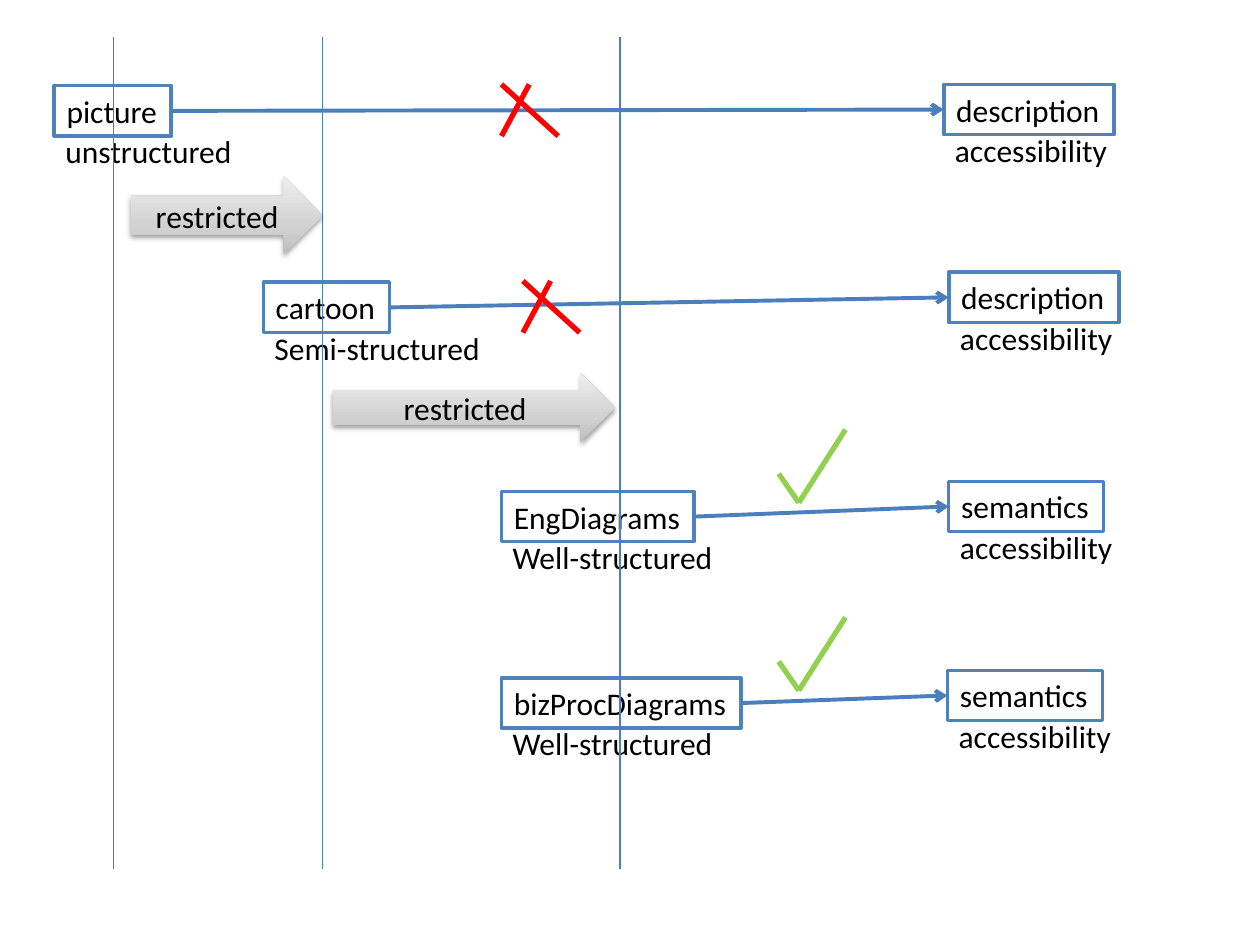
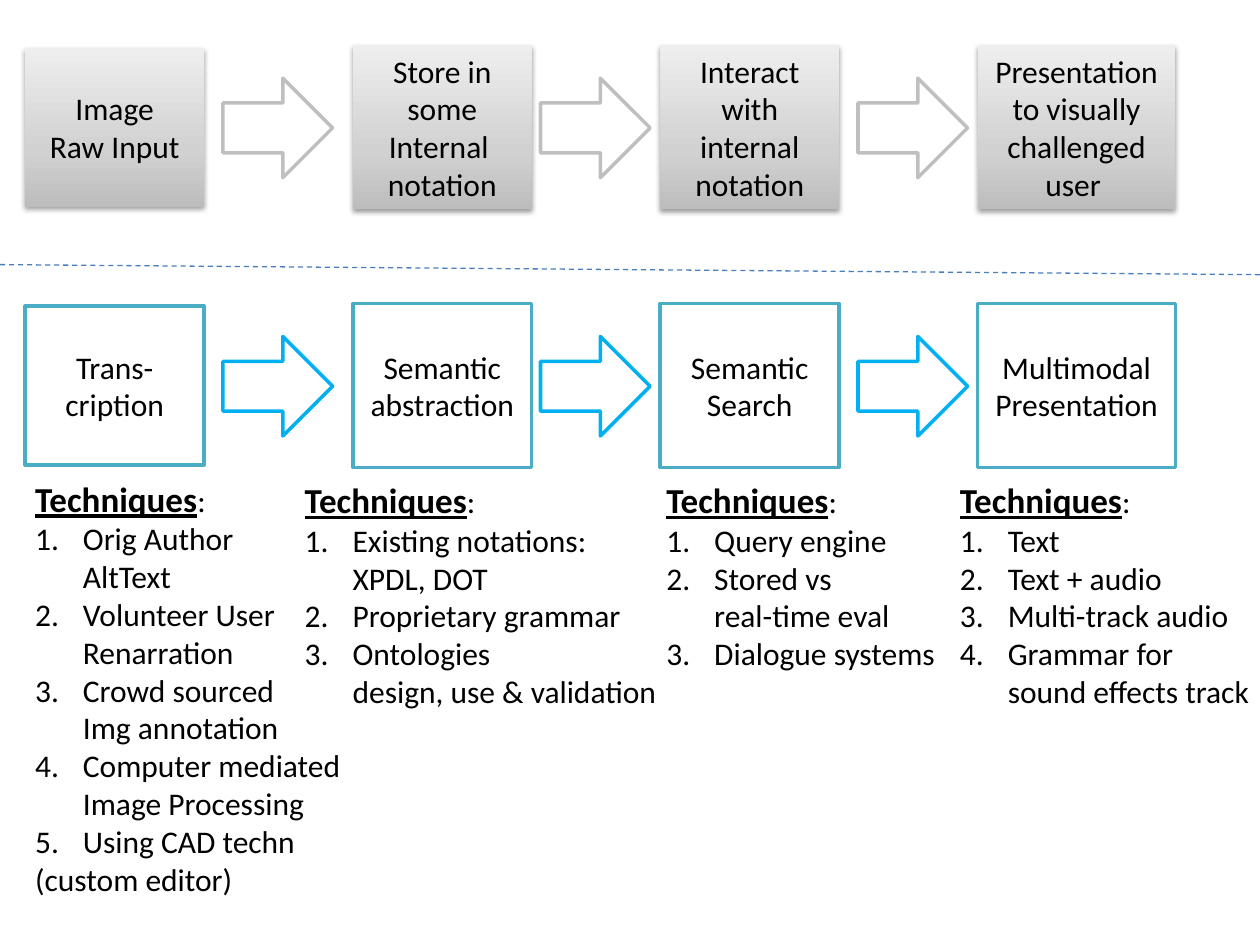
from copy import deepcopy

from lxml import etree
from pptx import Presentation
from pptx.dml.color import RGBColor
from pptx.enum.dml import MSO_LINE
from pptx.enum.shapes import MSO_CONNECTOR, MSO_SHAPE
from pptx.enum.text import MSO_ANCHOR, MSO_AUTO_SIZE, PP_ALIGN
from pptx.oxml.ns import qn
from pptx.util import Inches, Pt

RECTANGLE, RIGHT_ARROW = MSO_SHAPE.RECTANGLE, MSO_SHAPE.RIGHT_ARROW
STRAIGHT, DASH = MSO_CONNECTOR.STRAIGHT, MSO_LINE.DASH
TOP, MIDDLE = MSO_ANCHOR.TOP, MSO_ANCHOR.MIDDLE
LEFT, CENTER = PP_ALIGN.LEFT, PP_ALIGN.CENTER
FIT_SHAPE, NO_FIT = MSO_AUTO_SIZE.SHAPE_TO_FIT_TEXT, MSO_AUTO_SIZE.NONE
LEFT_SIDE, RIGHT_SIDE = 1, 3

FONT = "Calibri"
COLORS = {
    "text": "000000", "white": "FFFFFF", "blue": "4F81BD", "line": "4B7EBC",
    "teal": "4BACC6", "sky": "00B0F0", "silver": "BFBFBF",
    "cross": "FF0000", "check": "92D050",
}
GRAY_STOPS = ((0, "BDBDBD"), (0.35, "D1D1D1"), (1, "EEEEEE"))


def color(name):
    return RGBColor.from_string(COLORS[name])


def write(paragraph, text, size=18, bold=False, underline=False, align=LEFT):
    """Append text to a paragraph, breaking lines at each newline."""
    paragraph.alignment = align
    for index, part in enumerate(text.split("\n")):
        if index:
            paragraph.add_line_break()
        run = paragraph.add_run()
        run.text = part
        font = run.font
        font.name, font.size = FONT, Pt(size)
        font.bold, font.underline = bold, underline
        font.color.rgb = color("text")


def number(paragraph):
    properties = paragraph._p.get_or_add_pPr()
    indent = Inches(0.38)
    properties.set("marL", str(indent))
    properties.set("indent", str(-indent))
    etree.SubElement(properties, qn("a:buFont"), typeface="+mj-lt")
    etree.SubElement(properties, qn("a:buAutoNum"), type="arabicPeriod")


class Deck:
    def __init__(self):
        self.presentation = Presentation()
        self.presentation.slide_width = Inches(10)
        self.presentation.slide_height = Inches(7.5)
        self.slide = None

    def new_slide(self):
        self.slide = self.presentation.slides.add_slide(self.presentation.slide_layouts[6])

    def shape(self, kind, left, top, width, height, text="", line=None, hug=False):
        """Draw a white outlined shape, or a shaded gray one if no line is given."""
        shape = self.slide.shapes.add_shape(
            kind, Inches(left), Inches(top), Inches(width), Inches(height))
        shape.shadow.inherit = False
        if line:
            shape.fill.solid()
            shape.fill.fore_color.rgb = color("white")
            shape.line.color.rgb = color(line)
            shape.line.width = Pt(2)
        else:
            shape.line.fill.background()
            self.shade(shape)
        frame = shape.text_frame
        frame.word_wrap = not hug
        frame.auto_size = FIT_SHAPE if hug else NO_FIT
        frame.vertical_anchor = TOP if hug else MIDDLE
        for index, line_text in enumerate(text.split("|")):
            paragraph = frame.add_paragraph() if index else frame.paragraphs[0]
            write(paragraph, line_text, align=LEFT if hug else CENTER)
        return shape

    def shade(self, shape):
        """Add the gray gradient and the soft shadow below."""
        shape.fill.gradient()
        shape.fill.gradient_angle = 90
        properties = shape._element.spPr
        stop_list = properties.find(".//" + qn("a:gsLst"))
        stop_list.append(deepcopy(stop_list[0]))
        for stop, (position, value) in zip(shape.fill.gradient_stops, GRAY_STOPS):
            stop.position = position
            stop.color.rgb = RGBColor.from_string(value)
        shadow = etree.SubElement(
            properties.find(qn("a:effectLst")), qn("a:outerShdw"),
            blurRad=str(Pt(3.1)), dist=str(Pt(1.6)), dir="5400000", rotWithShape="0")
        shadow_color = etree.SubElement(shadow, qn("a:srgbClr"), val=COLORS["text"])
        etree.SubElement(shadow_color, qn("a:alpha"), val="38000")

    def text_box(self, left, top, width, height):
        frame = self.slide.shapes.add_textbox(
            Inches(left), Inches(top), Inches(width), Inches(height)).text_frame
        frame.word_wrap = False
        frame.auto_size = FIT_SHAPE
        return frame

    def line(self, start, end, name="line", width=0.75, dash=None):
        connector = self.slide.shapes.add_connector(
            STRAIGHT, *(Inches(value) for value in (*start, *end)))
        connector.line.color.rgb = color(name)
        connector.line.width = Pt(width)
        if dash:
            connector.line.dash_style = dash
        etree.SubElement(connector._element.spPr, qn("a:effectLst"))
        return connector

    def arrow(self, source, target):
        """Join the right side of one box to the left side of another."""
        connector = self.line((0, 0), (1, 1), width=2.25)
        connector.begin_connect(source, RIGHT_SIDE)
        connector.end_connect(target, LEFT_SIDE)
        etree.SubElement(connector.line._get_or_add_ln(), qn("a:tailEnd"), type="arrow")

    def captioned_box(self, left, top, width, name, caption, caption_width):
        box = self.shape(RECTANGLE, left, top, width, 0.4, name, "blue", hug=True)
        frame = self.text_box(left - 0.01, top + 0.32, caption_width, 0.4)
        write(frame.paragraphs[0], caption)
        return box

    def cross(self, left, top):
        bottom = top + 0.41
        self.line((left, top), (left + 0.45, bottom), "cross", 3)
        self.line((left, bottom), (left + 0.22, top), "cross", 3)

    def check(self, left, top):
        corner = (left + 0.16, top + 0.58)
        self.line((left, top + 0.35), corner, "check", 3)
        self.line(corner, (left + 0.53, top), "check", 3)

    def techniques(self, left, top, width, height, items, remark=None):
        frame = self.text_box(left, top, width, height)
        heading = frame.paragraphs[0]
        write(heading, "Techniques", size=20, bold=True, underline=True)
        write(heading, ":")
        for item in items:
            paragraph = frame.add_paragraph()
            write(paragraph, item)
            number(paragraph)
        if remark:
            write(frame.add_paragraph(), remark)


def build_structure_slide(deck):
    deck.new_slide()
    # Each row: left, top, width, name, caption, caption width; then the result box.
    rows = (
        ((0.43, 0.68, 0.93, "picture", "unstructured", 1.54),
         (7.49, 0.67, 1.35, "description")),
        ((2.09, 2.24, 1, "cartoon", "Semi-structured", 1.85),
         (7.53, 2.16, 1.35, "description")),
        ((3.98, 3.9, 1.53, "EngDiagrams", "Well-structured", 1.8),
         (7.53, 3.82, 1.23, "semantics")),
        ((3.98, 5.38, 1.9, "bizProcDiagrams", "Well-structured", 1.8),
         (7.52, 5.32, 1.23, "semantics")),
    )
    for source, result in rows:
        source_box = deck.captioned_box(*source)
        result_box = deck.captioned_box(*result, "accessibility", 1.42)
        deck.arrow(source_box, result_box)
    for x in (0.9, 2.56, 4.92):
        deck.line((x, 0.29), (x, 6.9))
    for bounds in ((1.04, 1.4, 1.52, 0.62), (2.64, 2.96, 2.24, 0.55)):
        deck.shape(RIGHT_ARROW, *bounds, "restricted")
    for left, top in ((3.98, 0.67), (4.15, 2.23)):
        deck.cross(left, top)
    for top in (3.41, 4.9):
        deck.check(6.18, top)


def build_pipeline_slide(deck):
    deck.new_slide()
    # Left, offset from the row top, width and height of each step.
    steps = ((0.2, 0.02, 1.42, 1.26), (2.8, 0, 1.42, 1.3),
             (5.24, 0, 1.42, 1.3), (7.76, 0, 1.57, 1.3))
    pipelines = (
        (0.36, None, "silver",
         ("Image|Raw Input", "Store in some Internal \nnotation",
          "Interact with internal notation", "Presentation to visually challenged user ")),
        (2.41, "teal", "sky",
         ("Trans-cription", "Semantic abstraction", "Semantic Search",
          "Multimodal Presentation")),
    )
    for top, box_line, arrow_line, names in pipelines:
        for (left, offset, width, height), name in zip(steps, names):
            deck.shape(RECTANGLE, left, top + offset, width, height, name, box_line)
        for index in range(3):
            deck.shape(RIGHT_ARROW, 1.77 + 2.52 * index, top + 0.26, 0.87, 0.79,
                       line=arrow_line)
    deck.line((0, 2.1), (10, 2.18), dash=DASH)

    deck.techniques(0.18, 3.74, 2.65, 3.47, (
        "Orig Author\nAltText", "Volunteer User\nRenarration",
        "Crowd sourced\nImg annotation", "Computer mediated\nImage Processing",
        "Using CAD techn"), remark="(custom editor)")
    deck.techniques(2.32, 3.75, 3.02, 1.95, (
        "Existing notations:\nXPDL, DOT", "Proprietary grammar",
        "Ontologies\ndesign, use & validation"))
    deck.techniques(5.19, 3.75, 2.35, 1.65, (
        "Query engine", "Stored vs\nreal-time eval", "Dialogue systems"))
    deck.techniques(7.52, 3.75, 2.52, 1.95, (
        "Text", "Text + audio", "Multi-track audio",
        "Grammar for\nsound effects track"))


def main():
    deck = Deck()
    build_structure_slide(deck)
    build_pipeline_slide(deck)
    deck.presentation.save("out.pptx")


if __name__ == "__main__":
    main()
